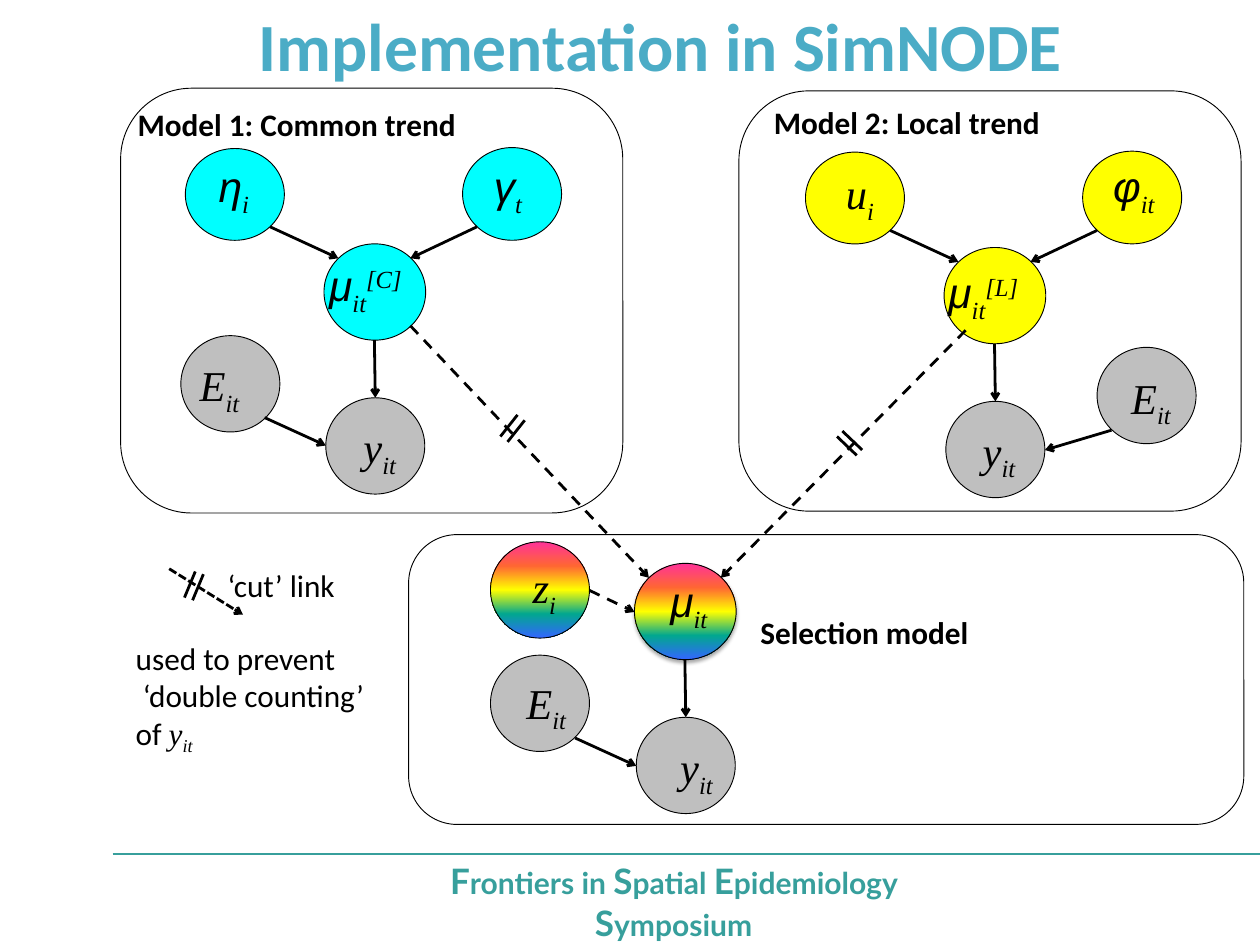
from lxml import etree
from pptx import Presentation
from pptx import util as u
from pptx.dml import color
from pptx.enum import dml, shapes, text
from pptx.oxml import ns

COLORS = {
    "black": "000000", "grey": "BFBFBF", "cyan": "00FFFF", "yellow": "FFFF00",
    "title": "4BACC6", "teal": "379F9C",
}
RAINBOW = {0: "FF3399", 25: "FF6633", 50: "FFFF00", 75: "01A78F", 100: "3366FF"}
HEADING = {"name": "Calibri", "size": u.Pt(25), "bold": True}
BODY = {"name": "Calibri", "size": u.Pt(25)}
SYMBOL = {"name": "Times New Roman", "size": u.Pt(34), "italic": True}
GREEK = {**SYMBOL, "name": "Arial"}
NOTE_SYMBOL = {**SYMBOL, "size": u.Pt(25)}
TITLE = {"name": "Calibri", "size": u.Pt(54), "bold": True}
FOOTER = {"name": "Lato", "size": u.Pt(24), "bold": True}
FOOTER_CAPITAL = {**FOOTER, "size": u.Pt(28)}


def rgb(name):
    return color.RGBColor.from_string(COLORS[name])


def inches(values):
    return [u.Inches(value) for value in values]


def add_child(parent, tag, **attributes):
    child = etree.SubElement(parent, ns.qn(tag))
    for name, value in attributes.items():
        child.set(name, str(value))
    return child


def add_text(slide, box, paragraphs, ink="black", inset=(0.1, 0.05),
             anchor=text.MSO_ANCHOR.TOP, align=text.PP_ALIGN.LEFT):
    frame = slide.shapes.add_textbox(*inches(box)).text_frame
    horizontal, vertical = inches(inset)
    settings = {
        "word_wrap": True, "vertical_anchor": anchor,
        "margin_left": horizontal, "margin_right": horizontal,
        "margin_top": vertical, "margin_bottom": vertical,
    }
    for name, value in settings.items():
        setattr(frame, name, value)
    for index, runs in enumerate(paragraphs):
        paragraph = frame.add_paragraph() if index else frame.paragraphs[0]
        paragraph.alignment = align
        for content, style, *baseline in runs:
            run = paragraph.add_run()
            run.text = content
            for name, value in style.items():
                setattr(run.font, name, value)
            run.font.color.rgb = rgb(ink)
            if baseline:
                run.font._element.set("baseline", str(baseline[0] * 1000))


def add_outline(slide, kind, box):
    shape = slide.shapes.add_shape(kind, *inches(box))
    shape.shadow.inherit = False
    shape.fill.background()
    shape.line.color.rgb = rgb("black")
    shape.line.width = u.Pt(0.75)
    return shape


def add_panel(slide, box):
    add_outline(slide, shapes.MSO_SHAPE.ROUNDED_RECTANGLE, box)


def fill_rainbow(shape):
    shape.fill.gradient()
    shape.fill.gradient_angle = 270
    stops = shape.element.spPr.find(".//" + ns.qn("a:gsLst"))
    for stop in list(stops):
        stops.remove(stop)
    for position, value in RAINBOW.items():
        stop = add_child(stops, "a:gs", pos=position * 1000)
        add_child(stop, "a:srgbClr", val=value)


def add_shadow(shape):
    effects = shape.element.spPr.find(ns.qn("a:effectLst"))
    shadow = add_child(effects, "a:outerShdw", blurRad=u.Pt(3.1), dist=u.Pt(1.8),
                       dir=90 * 60000, rotWithShape=0)
    ink = add_child(shadow, "a:srgbClr", val=COLORS["black"])
    add_child(ink, "a:alpha", val=35000)


def add_node(slide, box, fill, label, label_at):
    shape = add_outline(slide, shapes.MSO_SHAPE.OVAL, box)
    if fill == "rainbow":
        fill_rainbow(shape)
    else:
        shape.fill.solid()
        shape.fill.fore_color.rgb = rgb(fill)
    symbol, subscript, *superscript = label
    runs = [(symbol, GREEK if symbol in "ηγμφ" else SYMBOL), (subscript, SYMBOL, -25)]
    runs += [(content, SYMBOL, 30) for content in superscript]
    add_text(slide, (*label_at, 1.45, 0.67), [runs])
    return shape


def add_line(slide, start, end, ink="black", dash=None, arrow=False):
    line = slide.shapes.add_connector(shapes.MSO_CONNECTOR.STRAIGHT, *inches(start + end))
    line.line.color.rgb = rgb(ink)
    line.line.width = u.Pt(2.25)
    if dash:
        line.line.dash_style = dash
    if arrow:
        add_child(line.line._get_or_add_ln(), "a:tailEnd", type="arrow")
    add_child(line._element.spPr, "a:effectLst")


def add_cut(slide, start, end, step):
    for index in range(2):
        shift_x, shift_y = step[0] * index, step[1] * index
        add_line(slide, (start[0] + shift_x, start[1] + shift_y),
                 (end[0] + shift_x, end[1] + shift_y))


def add_outcome(slide, dx, dy, fill, mean, mean_at, count_at):
    add_node(slide, (3.62 + dx, 4.42 + dy, 1.1, 1.07), "grey", ("y", "it"), count_at)
    shape = add_node(slide, (3.6 + dx, 2.71 + dy, 1.13, 1.07), fill, mean, mean_at)
    add_line(slide, (4.16 + dx, 3.78 + dy), (4.17 + dx, 4.42 + dy), arrow=True)
    return shape


def add_parents(slide, dx, dy, fill, left, left_at, right, right_at):
    add_node(slide, (2.06 + dx, 1.65 + dy, 1.1, 1.02), fill, left, left_at)
    add_node(slide, (5.14 + dx, 1.64 + dy, 1.1, 1.03), fill, right, right_at)
    add_line(slide, (3 + dx, 2.52 + dy), (3.76 + dx, 2.87 + dy), arrow=True)
    add_line(slide, (5.3 + dx, 2.52 + dy), (4.56 + dx, 2.87 + dy), arrow=True)


def add_expected(slide, at, label_at, start, end):
    add_node(slide, (*at, 1.1, 1.07), "grey", ("E", "it"), label_at)
    add_line(slide, start, end, arrow=True)


def add_common_trend(slide):
    add_panel(slide, (1.34, 0.98, 5.58, 4.72))
    add_text(slide, (1.39, 1.1, 6.07, 0.56), [[("Model 1: Common trend", HEADING)]],
             inset=(0.14, 0.07))
    add_outcome(slide, 0, 0, "cyan", ("μ", "it", "[C]"), (3.56, 2.83), (3.94, 4.63))
    add_parents(slide, 0, 0, "cyan", ("η", "i"), (2.33, 1.73), ("γ", "t"), (5.39, 1.73))
    add_expected(slide, (2.01, 3.73), (2.12, 3.94), (2.94, 4.64), (3.62, 4.95))


def add_local_trend(slide):
    dx, dy = 6.89, 0.04
    add_panel(slide, (8.21, 1.01, 5.58, 4.67))
    add_text(slide, (8.5, 1.1, 6.07, 0.52), [[("Model 2: Local trend", HEADING)]])
    add_outcome(slide, dx, dy, "yellow", ("μ", "it", "[L]"), (10.44, 2.91), (10.82, 4.67))
    add_parents(slide, dx, dy, "yellow", ("u", "i"), (9.3, 1.81), ("φ", "it"), (12.27, 1.73))
    add_expected(slide, (12.19, 3.86), (12.47, 4.08), (12.35, 4.78), (11.61, 5))


def add_selection_model(slide):
    dash = dml.MSO_LINE.DASH
    add_panel(slide, (4.54, 5.94, 9.28, 3.22))
    add_text(slide, (8.35, 6.76, 5.4, 0.52), [[("Selection model", HEADING)]])
    mean = add_outcome(slide, 3.45, 3.55, "rainbow", ("μ", "it"), (7.35, 6.34), (7.46, 8.19))
    add_shadow(mean)
    add_expected(slide, (5.45, 7.28), (5.75, 7.47), (6.39, 8.2), (7.07, 8.51))
    add_node(slide, (5.45, 6.02, 1.1, 1.07), "rainbow", ("z", "i"), (5.82, 6.19))
    add_line(slide, (6.55, 6.56), (7.05, 6.8), dash=dash, arrow=True)
    add_line(slide, (4.56, 3.62), (7.21, 6.42), dash=dash, arrow=True)
    add_line(slide, (10.73, 3.67), (8.01, 6.42), dash=dash, arrow=True)
    add_cut(slide, (5.56, 4.85), (5.75, 4.61), (0.08, 0.06))
    add_cut(slide, (9.52, 5.06), (9.3, 4.85), (0.06, -0.06))


def add_legend(slide):
    add_line(slide, (1.88, 6.32), (2.7, 6.83), dash=dml.MSO_LINE.SQUARE_DOT, arrow=True)
    add_cut(slide, (2.05, 6.64), (2.17, 6.35), (0.09, 0.03))
    add_text(slide, (2.43, 6.24, 2.18, 0.52), [[("‘cut’ link", BODY)]])
    add_text(slide, (1.41, 7.05, 3.56, 1.78), [
        [("used to prevent", BODY)],
        [(" ‘double counting’", BODY)],
        [("of ", BODY), ("y", NOTE_SYMBOL), ("it", NOTE_SYMBOL, -25)],
    ])


def add_title_and_footer(slide):
    centred = {"anchor": text.MSO_ANCHOR.MIDDLE, "align": text.PP_ALIGN.CENTER}
    add_text(slide, (0.41, -0.38, 13.86, 1.75), [[("Implementation in SimNODE", TITLE)]],
             "title", (0.14, 0.07), **centred)
    words = ("Frontiers in ", "Spatial ", "Epidemiology ", "Symposium")
    runs = [run for word in words
            for run in ((word[0], FOOTER_CAPITAL), (word[1:], FOOTER))]
    add_line(slide, (1.25, 9.49), (14, 9.49), "teal")
    add_text(slide, (4.9, 9.82, 5.17, 0.4), [runs], "teal", **centred)


def main():
    presentation = Presentation()
    presentation.slide_width, presentation.slide_height = inches((14, 10.5))
    slide = presentation.slides.add_slide(presentation.slide_layouts[6])
    add_title_and_footer(slide)
    add_common_trend(slide)
    add_local_trend(slide)
    add_selection_model(slide)
    add_legend(slide)
    presentation.save("out.pptx")


if __name__ == "__main__":
    main()
